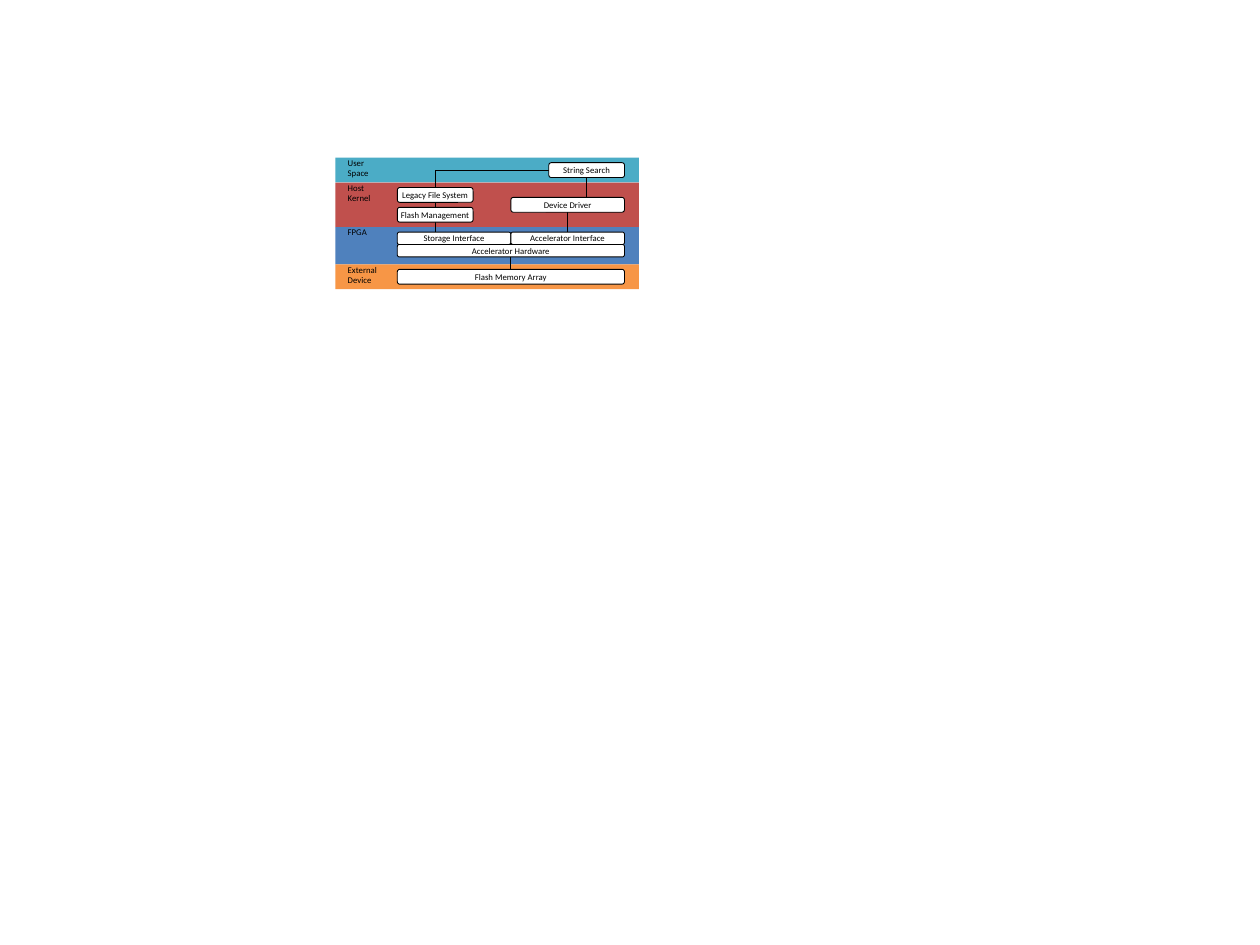
from lxml import etree
from pptx import Presentation
from pptx import util as u
from pptx.dml.color import RGBColor
from pptx.enum import shapes, text
from pptx.oxml.ns import qn

BLACK, WHITE = "000000", "FFFFFF"
MARGIN = 0.1          # gap between a layer's edge and its components, cm
COMPONENT = 0.3       # height of a separate component, cm
STACKED = 0.25        # height of a component in the FPGA block, cm
LAYERS = [            # label, height in cm, colour
    ("User\nSpace", 0.5, "4BACC6"),
    ("Host\nKernel", 0.9, "C0504D"),
    ("FPGA", 0.75, "4F81BD"),
    ("External\nDevice", 0.5, "F79646"),
]


def rgb(colour):
    return RGBColor.from_string(colour)


def write(shape, content, align=text.PP_ALIGN.LEFT, anchor=text.MSO_ANCHOR.TOP,
          inset=0.25, wrap=True, size=5, font="Calibri", colour=BLACK):
    frame = shape.text_frame
    frame.text = content
    frame.word_wrap = wrap
    frame.vertical_anchor = anchor
    frame.margin_left = frame.margin_right = u.Cm(inset)
    frame.margin_top = frame.margin_bottom = 0
    for paragraph in frame.paragraphs:
        paragraph.alignment = align
        paragraph.font.size = u.Pt(size)
        paragraph.font.name = font
        paragraph.font.color.rgb = rgb(colour)


def add_block(slide, preset, box, fill, line=None):
    block = slide.shapes.add_shape(preset, *map(u.Cm, box))
    block.shadow.inherit = False
    block.fill.solid()
    block.fill.fore_color.rgb = rgb(fill)
    if line:
        block.line.color.rgb = rgb(line)
        block.line.width = u.Pt(0.5)
    else:
        block.line.fill.background()
    return block


def add_component(slide, name, box):
    component = add_block(slide, shapes.MSO_SHAPE.ROUNDED_RECTANGLE, box, WHITE, BLACK)
    write(component, name, text.PP_ALIGN.CENTER, text.MSO_ANCHOR.MIDDLE, wrap=False)


def add_link(slide, start, end):
    """Join two points; a link that is not vertical runs sideways, then down."""
    bent = start[0] != end[0]
    kind = shapes.MSO_CONNECTOR.ELBOW if bent else shapes.MSO_CONNECTOR.STRAIGHT
    link = slide.shapes.add_connector(kind, *map(u.Cm, start + end))
    link.line.color.rgb = rgb(BLACK)
    link.line.width = u.Pt(0.5)
    properties = link._element.spPr
    if bent:
        properties.find(qn("a:prstGeom")).set("prst", "bentConnector2")
    etree.SubElement(properties, qn("a:effectLst"))


def add_layers(slide, left, top, width):
    """Stack the layers and return the top of each."""
    tops = []
    for label, height, colour in LAYERS:
        layer = add_block(slide, shapes.MSO_SHAPE.RECTANGLE,
                          (left, top, width, height), colour)
        write(layer, label)
        tops.append(top)
        top += height
    return tops


def add_components(slide, left, width, layer_tops):
    user, kernel, fpga, device = (top + MARGIN for top in layer_tops)
    third, half = width / 3, width / 2
    middle, right = left + half, left + width
    management = kernel + COMPONENT + MARGIN
    driver = (kernel + management) / 2
    hardware = fpga + STACKED
    file_axis = left + third / 2
    search_axis = right - third / 2
    driver_axis = right - half / 2

    links = [
        ((right - third, user + COMPONENT / 2), (file_axis, kernel)),
        ((file_axis, kernel + COMPONENT), (file_axis, management)),
        ((file_axis, management + COMPONENT), (file_axis, fpga)),
        ((search_axis, user + COMPONENT), (search_axis, driver)),
        ((driver_axis, driver + COMPONENT), (driver_axis, fpga)),
        ((middle, hardware + STACKED), (middle, device)),
    ]
    for start, end in links:
        add_link(slide, start, end)

    components = [
        ("String Search", (right - third, user, third, COMPONENT)),
        ("Legacy File System", (left, kernel, third, COMPONENT)),
        ("Flash Management", (left, management, third, COMPONENT)),
        ("Device Driver", (middle, driver, half, COMPONENT)),
        ("Storage Interface", (left, fpga, half, STACKED)),
        ("Accelerator Interface", (middle, fpga, half, STACKED)),
        ("Accelerator Hardware", (left, hardware, width, STACKED)),
        ("Flash Memory Array", (left, device, width, COMPONENT)),
    ]
    for name, box in components:
        add_component(slide, name, box)


def add_architecture(slide, left, top, width):
    layer_tops = add_layers(slide, left, top, width)
    add_components(slide, left + 1.25, 4.58, layer_tops)


def main():
    deck = Presentation()
    deck.slide_width, deck.slide_height = u.Cm(25.4), u.Cm(19.05)
    slide = deck.slides.add_slide(deck.slide_layouts.get_by_name("Blank"))
    add_architecture(slide, left=6.76, top=3.18, width=6.12)
    deck.save("out.pptx")


if __name__ == "__main__":
    main()
